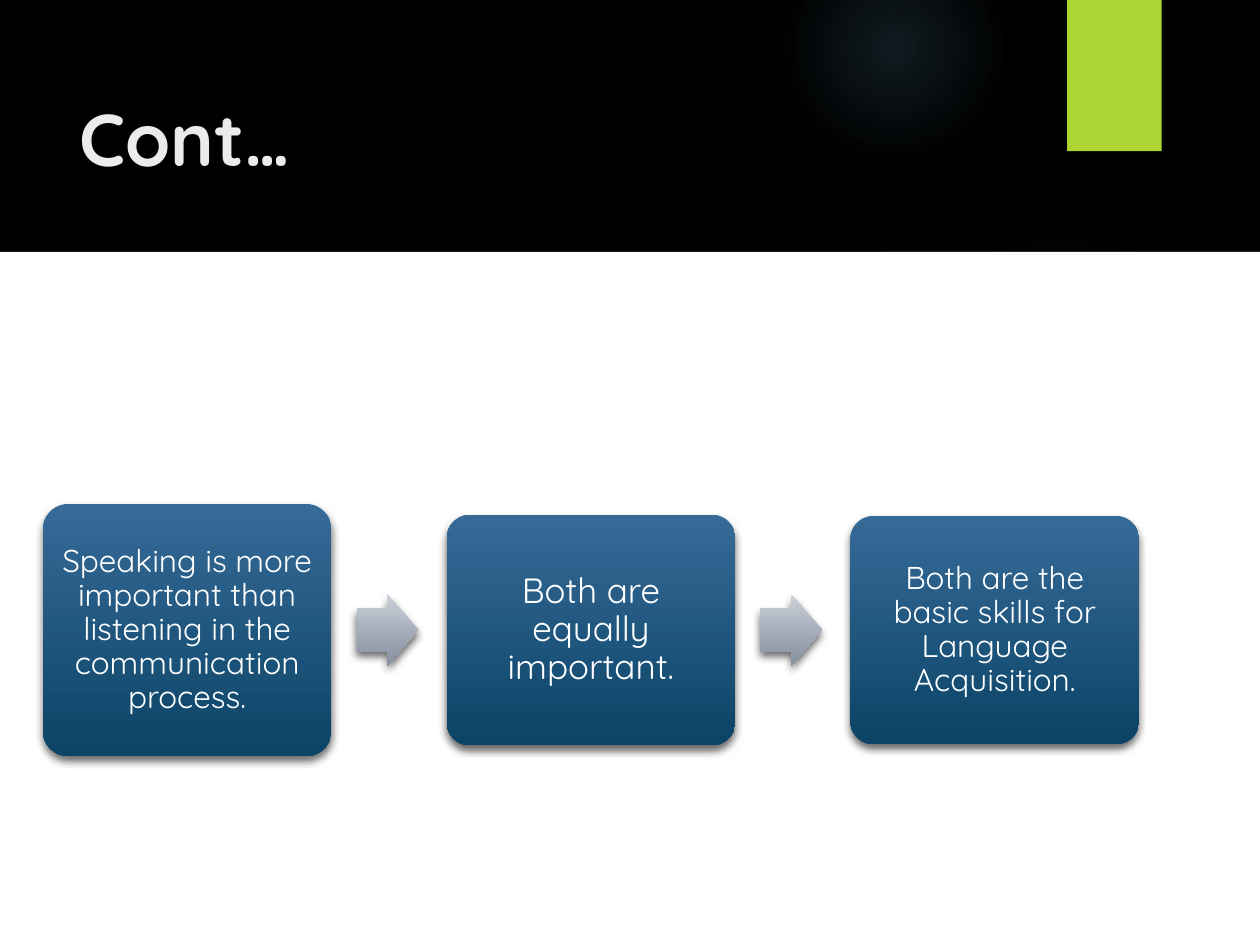
from lxml import etree
from pptx import Presentation
from pptx.dml.color import RGBColor
from pptx.enum.shapes import MSO_SHAPE as Shape
from pptx.enum.text import MSO_ANCHOR as Anchor, PP_ALIGN as Align
from pptx.oxml import parse_xml
from pptx.oxml.ns import nsdecls, qn
from pptx.util import Inches, Pt

# Content
TITLE = "Cont…"
# text, type size, card height
CARDS = [
    ("Speaking is more important than listening in the communication process.", 18, 2.0),
    ("Both are equally important.", 20, 1.83),
    ("Both are the basic skills for Language Acquisition.", 18, 1.81),
]
# left, top, diameter, then gradient stops (position %, opacity %)
GLOWS = [
    (6.89, 1.83, 3.08, [(0, 7), (36, 6), (69, 0)]),
    (6.22, -0.5, 1.75, [(0, 14), (36, 7), (73, 0)]),
]

THEME = {
    "font": "Quicksand", "title_size": 42, "title": "EBEBEB",
    "background": "000000", "paper": "FFFFFF", "accent": "ACD433", "glow": "7AC4F0",
    "card": ("366A97", "0B4467"), "arrow": ("CBD0D8", "848F9F"), "card_text": "FFFFFF",
    # opacity %, blur pt, distance pt
    "tab_shadow": (45, 3, 2), "card_shadow": (60, 5, 3),
}

# Layout
CARD_LEFT, CARD_WIDTH, CARD_PITCH, MIDDLE = 0.34, 2.29, 3.205, 5.0
ARROW_OFFSET, ARROW_WIDTH, ARROW_HEIGHT = 2.49, 0.49, 0.57
EDGE_TOP, EDGE_DEPTH, EDGE_LOWEST = 1.93, 0.57, 5.3
STEPS = 50


def color(name):
    return RGBColor.from_string(name)


def fill_solid(shape, name):
    shape.fill.solid()
    shape.fill.fore_color.rgb = color(name)


def fill_down(shape, colors):
    shape.fill.gradient()
    shape.fill.gradient_angle = 270
    for stop, name in zip(shape.fill.gradient_stops, colors):
        stop.color.rgb = color(name)


def fill_glow(shape, stops):
    stop_xml = "".join(
        f'<a:gs pos="{position * 1000}"><a:srgbClr val="{THEME["glow"]}">'
        f'<a:alpha val="{opacity * 1000}"/></a:srgbClr></a:gs>'
        for position, opacity in stops)
    gradient = parse_xml(
        f'<a:gradFill {nsdecls("a")}><a:gsLst>{stop_xml}</a:gsLst><a:path path="circle">'
        '<a:fillToRect l="50000" t="50000" r="50000" b="50000"/></a:path></a:gradFill>')
    shape._element.spPr.find(qn("a:prstGeom")).addnext(gradient)


def make_plain(shape):
    shape.line.fill.background()
    shape.shadow.inherit = False
    return shape


def add_plain(kind, left, top, width, height):
    return make_plain(slide.shapes.add_shape(
        kind, Inches(left), Inches(top), Inches(width), Inches(height)))


def add_outline(points, name):
    builder = slide.shapes.build_freeform(*points[0], scale=Inches(1))
    builder.add_line_segments(points[1:], close=True)
    shape = make_plain(builder.convert_to_shape())
    fill_solid(shape, name)
    return shape


def add_shadow(shape, shadow):
    opacity, blur, distance = shadow
    effects = shape._element.spPr.find(qn("a:effectLst"))
    outer = etree.SubElement(effects, qn("a:outerShdw"), blurRad=str(Pt(blur)),
                             dist=str(Pt(distance)), dir="5400000", rotWithShape="0")
    black = etree.SubElement(outer, qn("a:srgbClr"), val="000000")
    etree.SubElement(black, qn("a:alpha"), val=str(opacity * 1000))


def format_font(paragraph, size, name, bold=False):
    font = paragraph.runs[0].font
    font.name, font.size, font.bold = THEME["font"], Pt(size), bold
    font.color.rgb = color(name)


def edge_height(x):
    """Lower edge of the dark header: two arcs meeting at the lowest point."""
    if x < EDGE_LOWEST:
        share, power = x / EDGE_LOWEST, 2.05
    else:
        share, power = (10 - x) / (10 - EDGE_LOWEST), 2.15
    return EDGE_TOP + EDGE_DEPTH * (1 - (1 - share) ** power)


presentation = Presentation()
presentation.slide_width, presentation.slide_height = Inches(10), Inches(7.5)
slide = presentation.slides.add_slide(presentation.slide_layouts[5])
slide.background.fill.solid()
slide.background.fill.fore_color.rgb = color(THEME["background"])

# Header glows and accent tab
for left, top, diameter, stops in GLOWS:
    fill_glow(add_plain(Shape.OVAL, left, top, diameter, diameter), stops)
tab = add_plain(Shape.RECTANGLE, 8.47, 0, 0.75, 1.2)
fill_solid(tab, THEME["accent"])
add_shadow(tab, THEME["tab_shadow"])

# Translucent swoosh at the right
swoosh_points = []
for step in range(STEPS + 1):
    run = 2.85 * step / STEPS
    swoosh_points.append((7.15 + run, 2.43 - 0.14 * run - 0.05 * run ** 2))
swoosh = add_outline(swoosh_points + [(10, 2.12), (8.6, 2.38), (7.19, 2.5)], THEME["paper"])
swoosh_color = swoosh._element.spPr.find(qn("a:solidFill"))[0]
etree.SubElement(swoosh_color, qn("a:alpha"), val="20000")

# Title, above the header decoration
title = slide.shapes.title
title.left, title.top, title.width, title.height = map(Inches, (0.53, 0.69, 7.59, 1.11))
title.text_frame.text = TITLE
title.text_frame.vertical_anchor = Anchor.TOP
title_paragraph = title.text_frame.paragraphs[0]
title_paragraph.alignment = Align.LEFT
format_font(title_paragraph, THEME["title_size"], THEME["title"], bold=True)
slide.shapes._spTree.append(title._element)

# White page with a curved top
fill_solid(add_plain(Shape.RECTANGLE, 0, 4.29, 10, 3.21), THEME["paper"])
edge = [(10 * step / STEPS, edge_height(10 * step / STEPS)) for step in range(STEPS + 1)]
add_outline(edge + [(10, 4.99), (0, 4.99)], THEME["paper"])

# Cards joined by block arrows
for index, (text, size, height) in enumerate(CARDS):
    left = CARD_LEFT + index * CARD_PITCH
    card = add_plain(Shape.ROUNDED_RECTANGLE, left, MIDDLE - height / 2, CARD_WIDTH, height)
    card.adjustments[0] = 0.1
    fill_down(card, THEME["card"])
    add_shadow(card, THEME["card_shadow"])
    frame = card.text_frame
    frame.word_wrap = True
    frame.vertical_anchor = Anchor.MIDDLE
    frame.margin_left = frame.margin_right = Inches(0.07)
    frame.margin_top = frame.margin_bottom = Inches(0.07)
    frame.text = text
    paragraph = frame.paragraphs[0]
    paragraph.alignment = Align.CENTER
    paragraph.line_spacing = 0.9
    format_font(paragraph, size, THEME["card_text"])

    if index < len(CARDS) - 1:
        arrow = add_plain(Shape.RIGHT_ARROW, left + ARROW_OFFSET,
                          MIDDLE - ARROW_HEIGHT / 2, ARROW_WIDTH, ARROW_HEIGHT)
        arrow.adjustments[0] = 0.6
        fill_down(arrow, THEME["arrow"])
        add_shadow(arrow, THEME["card_shadow"])

presentation.save("out.pptx")
